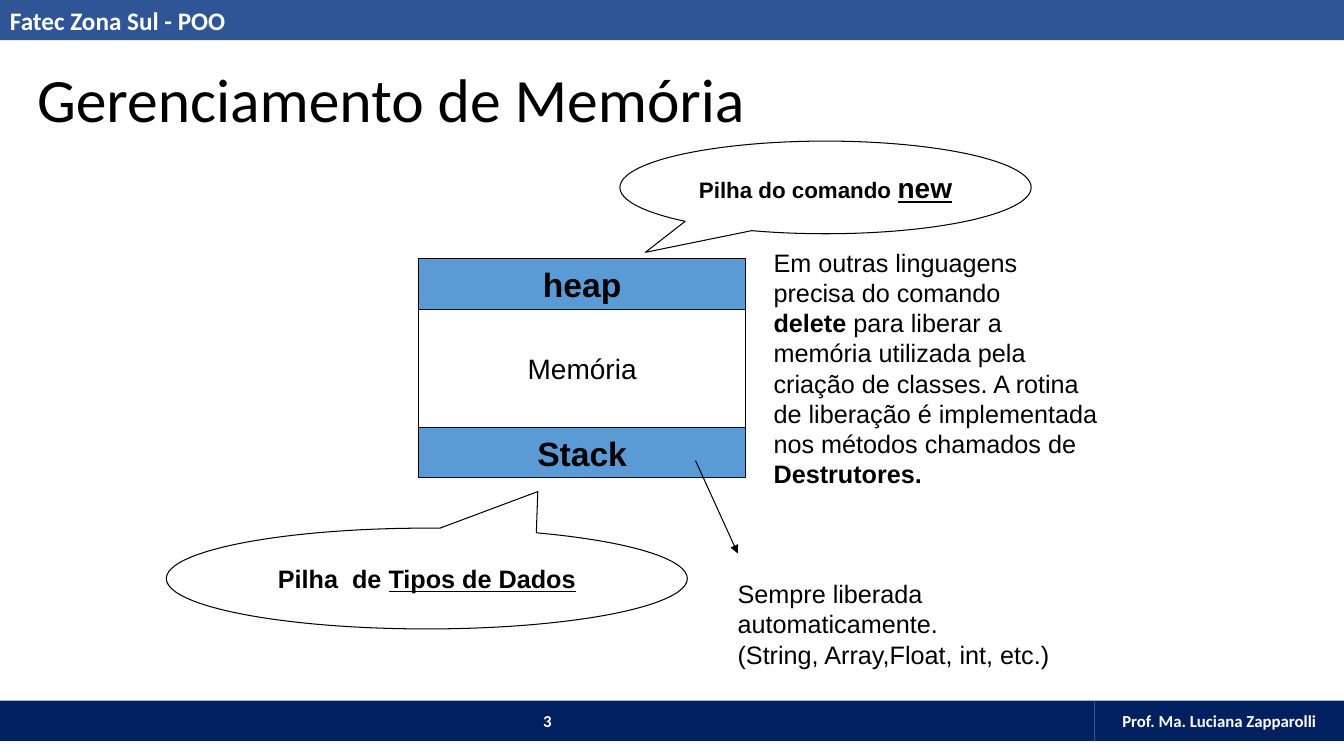
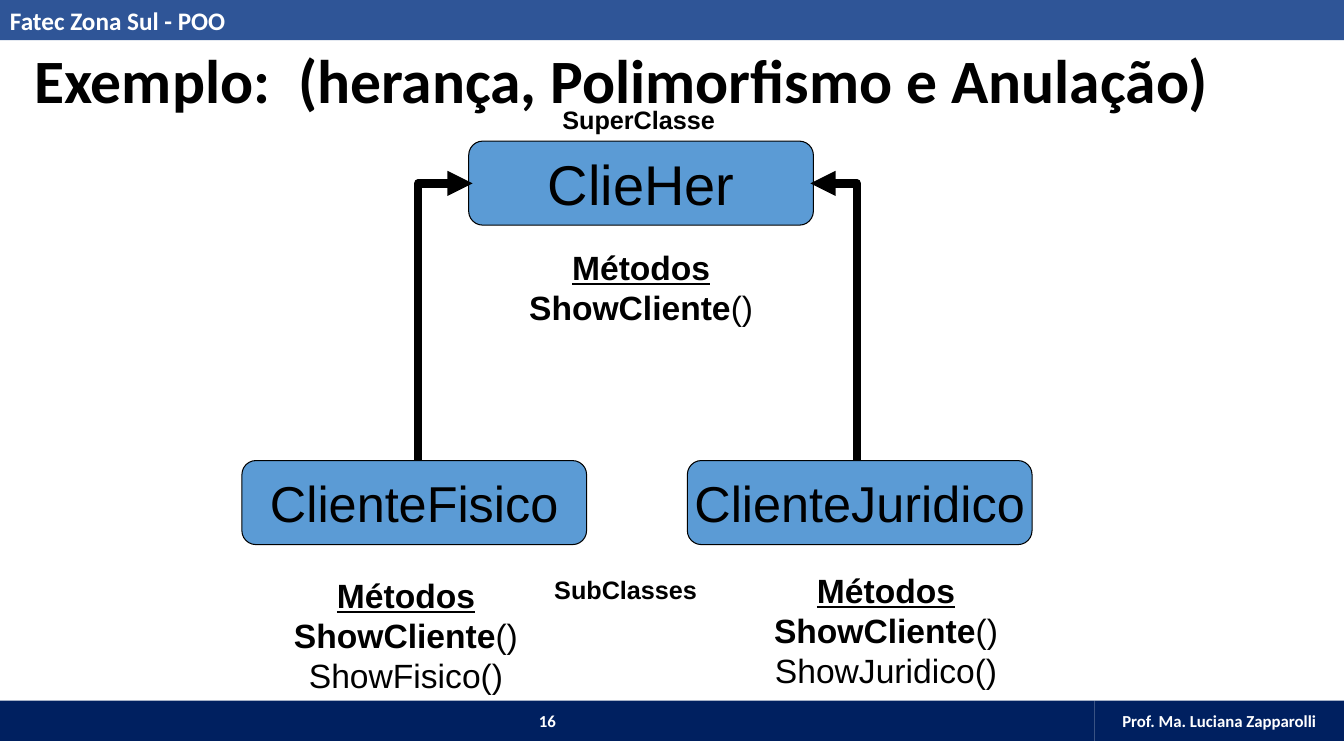
from dataclasses import dataclass
from typing import NamedTuple, Optional

from lxml import etree
from pptx import Presentation
from pptx.dml import color
from pptx.enum import shapes, text
from pptx.oxml import ns
from pptx.util import Pt

# Shared look
BLACK, WHITE = "000000", "FFFFFF"
HEADER_BLUE, FOOTER_NAVY, BOX_BLUE = "2F5597", "002060", "5B9BD5"
PAGE_WIDTH, PAGE_HEIGHT = 960, 540
BAND_HEIGHT = 28.8
FOOTER_TOP, FOOTER_SPLIT = 500.4, 781.9

KIND = shapes.MSO_SHAPE
LEFT, CENTER = text.PP_ALIGN.LEFT, text.PP_ALIGN.CENTER
TOP, MIDDLE = text.MSO_ANCHOR.TOP, text.MSO_ANCHOR.MIDDLE


class Span(NamedTuple):
    """A piece of text; None takes the value of its paragraph."""
    text: str
    bold: Optional[bool] = None
    underline: Optional[bool] = None
    size: Optional[float] = None


class Arrow(NamedTuple):
    """An arrow from (x1, y1) to (x2, y2)."""
    x1: float
    y1: float
    x2: float
    y2: float
    width: float


@dataclass
class Box:
    """A shape or, without a kind, a plain text box."""
    left: float
    top: float
    width: float
    height: float
    lines: list
    size: float
    kind: Optional[int] = None
    fill: str = WHITE
    outline: Optional[str] = BLACK
    ink: str = BLACK
    face: str = "Arial"
    bold: bool = False
    align: int = CENTER
    anchor: int = MIDDLE
    wrap: bool = False
    pointer: tuple = ()


def rgb(value: str) -> color.RGBColor:
    return color.RGBColor.from_string(value)


def write_lines(frame, box: Box) -> None:
    for index, line in enumerate(box.lines):
        para = frame.paragraphs[0] if index == 0 else frame.add_paragraph()
        para.alignment = box.align
        para.font.name, para.font.size = box.face, Pt(box.size)
        para.font.bold = box.bold
        para.font.color.rgb = rgb(box.ink)
        for span in [Span(line)] if isinstance(line, str) else line:
            run = para.add_run()
            run.text = span.text
            if span.bold is not None:
                run.font.bold = span.bold
            if span.underline is not None:
                run.font.underline = span.underline
            if span.size is not None:
                run.font.size = Pt(span.size)


def draw_box(page, box: Box) -> None:
    area = [Pt(v) for v in (box.left, box.top, box.width, box.height)]
    if box.kind is None:
        shape = page.shapes.add_textbox(*area)
    else:
        shape = page.shapes.add_shape(box.kind, *area)
        shape.shadow.inherit = False
        shape.fill.solid()
        shape.fill.fore_color.rgb = rgb(box.fill)
        if box.outline:
            shape.line.color.rgb = rgb(box.outline)
            shape.line.width = Pt(0.75)
        else:
            shape.line.fill.background()
        for index, value in enumerate(box.pointer):
            shape.adjustments[index] = value
    frame = shape.text_frame
    frame.word_wrap = box.wrap
    frame.vertical_anchor = box.anchor
    write_lines(frame, box)


def add_arrow(page, kind: int, ends: tuple, width: float):
    line = page.shapes.add_connector(kind, *[Pt(v) for v in ends])
    line.line.color.rgb = rgb(BLACK)
    line.line.width = Pt(width)
    properties = line._element.spPr
    etree.SubElement(properties.find(ns.qn("a:ln")), ns.qn("a:tailEnd"), type="triangle")
    etree.SubElement(properties, ns.qn("a:effectLst"))
    return line


def draw_straight(page, arrow: Arrow) -> None:
    add_arrow(page, shapes.MSO_CONNECTOR.STRAIGHT, arrow[:4], arrow.width)


def draw_corner(page, arrow: Arrow) -> None:
    """Go straight up, then sideways: a one-bend connector on its side."""
    rise, reach = arrow.y1 - arrow.y2, abs(arrow.x2 - arrow.x1)
    left = (arrow.x1 + arrow.x2 - rise) / 2
    top = (arrow.y1 + arrow.y2 - reach) / 2
    ends = (left, top, left + rise, top + reach)
    line = add_arrow(page, shapes.MSO_CONNECTOR.ELBOW, ends, arrow.width)
    properties = line._element.spPr
    properties.find(ns.qn("a:prstGeom")).set("prst", "bentConnector2")
    placement = properties.find(ns.qn("a:xfrm"))
    to_right = arrow.x2 > arrow.x1
    placement.set("rot", str((270 if to_right else 90) * 60000))
    if not to_right:
        placement.set("flipH", "1")


def band(left: float, top: float, width: float, label: str, **look) -> Box:
    return Box(left, top, width, BAND_HEIGHT, [label], kind=KIND.RECTANGLE, outline=None,
               ink=WHITE, face="Calibri", bold=True, wrap=True, **look)


def add_page(deck, number: int, title: Box):
    """Add a blank page with its header, footer and title."""
    page = deck.slides.add_slide(deck.slide_layouts[6])
    for box in (
        band(0, 0, PAGE_WIDTH, "Fatec Zona Sul - POO", size=18, fill=HEADER_BLUE,
             align=LEFT, anchor=TOP),
        band(FOOTER_SPLIT, FOOTER_TOP, PAGE_WIDTH - FOOTER_SPLIT,
             "Prof. Ma. Luciana Zapparolli", size=12, fill=FOOTER_NAVY),
        band(0, FOOTER_TOP, FOOTER_SPLIT, str(number), size=12, fill=FOOTER_NAVY),
        title,
    ):
        draw_box(page, box)
    return page


def title_box(left: float, top: float, label: str, bold: bool = False) -> Box:
    return Box(left, top, 913, 60.5, [label], 44, face="Calibri", bold=bold,
               align=LEFT, anchor=TOP, wrap=True)


def note(left: float, top: float, width: float, height: float, lines: list,
         bold: bool = False) -> Box:
    return Box(left, top, width, height, lines, 18, bold=bold, align=LEFT, anchor=TOP)


def memory_page(deck) -> None:
    page = add_page(deck, 3, title_box(19.4, 40.3, "Gerenciamento de Memória"))

    # Memory stack, from top to bottom
    top = 185
    for label, height, size, fill, bold in (
        ("heap", 36, 24, BOX_BLUE, True),
        ("Memória", 84.3, 20, WHITE, False),
        ("Stack", 36, 24, BOX_BLUE, True),
    ):
        draw_box(page, Box(298.8, top, 234, height, [label], size,
                           kind=KIND.RECTANGLE, fill=fill, bold=bold))
        top += height

    # Callouts and notes
    for box in (
        Box(442.8, 100.8, 293.8, 66.2,
            [[Span("Pilha do comando "), Span("new", underline=True, size=20)]], 16,
            kind=KIND.OVAL_CALLOUT, bold=True, pointer=(-0.438, 0.7)),
        Box(118.8, 377.3, 372.2, 72,
            [[Span("Pilha  de "), Span("Tipos de Dados", underline=True)]], 18,
            kind=KIND.OVAL_CALLOUT, bold=True, pointer=(0.213, -0.863)),
        note(545.5, 172.8, 245.5, 180, [
            "Em outras linguagens",
            "precisa do comando",
            [Span("delete", bold=True), Span(" para liberar a")],
            "memória utilizada pela",
            "criação de classes. A rotina",
            "de liberação é implementada",
            "nos métodos chamados de",
            [Span("Destrutores.", bold=True)],
        ]),
        note(519.8, 409.7, 239.8, 72, [
            "Sempre liberada",
            "automaticamente.",
            "(String, Array,Float, int, etc.)",
        ]),
    ):
        draw_box(page, box)
    draw_straight(page, Arrow(496.8, 329, 527, 395.3, 0.75))


def class_box(left: float, top: float, name: str, size: float) -> Box:
    return Box(left, top, 246.2, 60, [name], size,
               kind=KIND.FLOWCHART_ALTERNATE_PROCESS, fill=BOX_BLUE)


def method_list(left: float, top: float, *own_methods: str) -> Box:
    lines = [[Span("Métodos", bold=True, underline=True)],
             [Span("ShowCliente", bold=True), Span("()")], *own_methods]
    return Box(left, top, 175, 7.2 + 28.8 * len(lines), lines, 24, anchor=TOP)


def inheritance_page(deck) -> None:
    page = add_page(deck, 16, title_box(
        17.3, 26.6, "Exemplo:  (herança, Polimorfismo e Anulação)", bold=True))

    # Classes, their methods and the level labels
    for box in (
        class_box(334.8, 100.8, "ClieHer", 40),
        class_box(172.8, 329, "ClienteFisico", 36),
        class_box(491, 329, "ClienteJuridico", 36),
        method_list(545.4, 403.2, "ShowJuridico()"),
        method_list(202.5, 406.8, "ShowFisico()"),
        method_list(370.5, 172.8),
        note(394.6, 71.3, 123.8, 28.8, ["SuperClasse"], bold=True),
        note(388.8, 406.8, 116.6, 28.8, ["SubClasses"], bold=True),
    ):
        draw_box(page, box)

    # Subclasses point to the superclass
    draw_corner(page, Arrow(298.8, 329, 337.7, 131, 6))
    draw_corner(page, Arrow(612, 329, 578.9, 131, 6))


def main() -> None:
    deck = Presentation()
    deck.slide_width, deck.slide_height = Pt(PAGE_WIDTH), Pt(PAGE_HEIGHT)
    memory_page(deck)
    inheritance_page(deck)
    deck.save("out.pptx")


if __name__ == "__main__":
    main()
